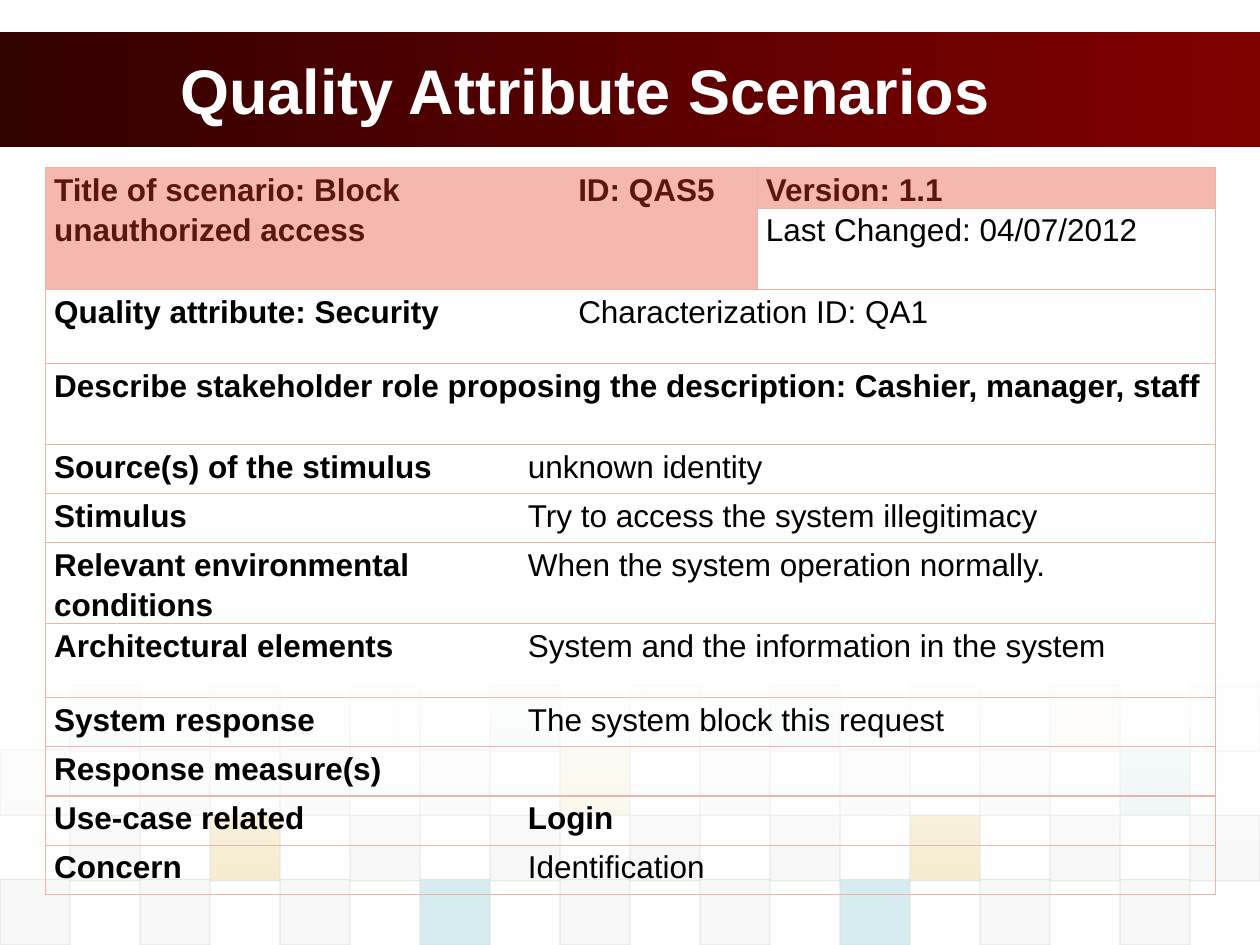
from dataclasses import dataclass

from lxml import etree
from pptx import Presentation
from pptx.dml.color import RGBColor
from pptx.enum.shapes import MSO_SHAPE
from pptx.enum.text import MSO_ANCHOR, PP_ALIGN
from pptx.oxml.ns import qn
from pptx.util import Inches, Pt

RECT = MSO_SHAPE.RECTANGLE
LEFT = PP_ALIGN.LEFT
TOP, MIDDLE = MSO_ANCHOR.TOP, MSO_ANCHOR.MIDDLE
TITLE_ONLY = 5


@dataclass(frozen=True)
class Theme:
    """Colours, font and type sizes of the slide."""
    font: str = "Arial"
    title_size: int = 36
    body_size: int = 18
    white: str = "FFFFFF"
    black: str = "000000"
    bar_dark: str = "330000"
    bar_red: str = "800000"
    header_fill: str = "F4B8B1"
    header_text: str = "5B170E"
    border: str = "EFB3AA"
    grey: str = "DDDDDD"
    pale: str = "EAEAEA"
    gold: str = "D3A911"
    teal: str = "38A3B2"


THEME = Theme()
TILES = {"G": THEME.grey, "L": THEME.pale, "Y": THEME.gold, "T": THEME.teal}
TILE_ROWS = [
    (5.44, 1, 5, "TLLTGTLYL"),
    (5.95, 0, 10, "GGGGYGGGT"),
    (6.47, 1, 20, "GYGGGGYGG"),
    (6.98, 0, 20, "GGGTGGTGG"),
]
PITCH = 10 / 18

COLS = [3.76, 0.4, 1.49, 3.64]
ROWS = [0.32, 0.64, 0.59, 0.64, 0.39, 0.39, 0.64, 0.59, 0.39, 0.39, 0.39, 0.39]
MERGES = [(0, 0, 1, 1), (0, 2, 1, 2), (2, 0, 2, 1), (2, 2, 2, 3), (3, 0, 3, 3)]
HEADER = [(0, 0, "Title of scenario: Block unauthorized access"),
          (0, 2, "ID: QAS5"), (0, 3, "Version: 1.1")]
DETAILS = [
    (1, 3, "Last Changed: 04/07/2012", False),
    (2, 0, "Quality attribute: Security", True),
    (2, 2, "Characterization ID: QA1", False),
    (3, 0, "Describe stakeholder role proposing the description: "
           "Cashier, manager, staff", True),
]
FIRST_FIELD = 4
FIELDS = [
    ("Source(s) of the stimulus", "unknown identity", False),
    ("Stimulus", "Try to access the system illegitimacy", False),
    ("Relevant environmental conditions", "When the system operation normally.", False),
    ("Architectural elements", "System and the information in the system", False),
    ("System response", "The system block this request", False),
    ("Response measure(s)", "", False),
    ("Use-case related", "Login", True),
    ("Concern", "Identification", False),
]


def rgb(value):
    """Return the colour for a hex string."""
    return RGBColor.from_string(value)


def set_text(tf, text, size=THEME.body_size, color=THEME.black, bold=False, spacing=1.0):
    """Write one formatted paragraph into a text frame."""
    p = tf.paragraphs[0]
    p.alignment = LEFT
    p.line_spacing = spacing
    r = p.add_run()
    r.text = text
    r.font.name = THEME.font
    r.font.size = Pt(size)
    r.font.bold = bold
    r.font.color.rgb = rgb(color)


def set_alphas(sp, *alphas):
    """Set the opacity percentages of a shape's colours in document order."""
    for clr, alpha in zip(sp.element.spPr.iter(qn("a:srgbClr")), alphas):
        etree.SubElement(clr, qn("a:alpha")).set("val", str(alpha * 1000))


def add_rect(s, x, y, w, h):
    """Add a rectangle without shadow."""
    sp = s.shapes.add_shape(RECT, Inches(x), Inches(y), Inches(w), Inches(h))
    sp.shadow.inherit = False
    return sp


def add_gradient(s, x, y, w, h, colors, angle):
    """Add an unlined rectangle with a two-colour gradient."""
    sp = add_rect(s, x, y, w, h)
    sp.line.fill.background()
    sp.fill.gradient()
    sp.fill.gradient_angle = angle
    for stop, color in zip(sp.fill.gradient_stops, colors):
        stop.color.rgb = rgb(color)
    return sp


def add_tile(s, x, y, color, alpha):
    """Add one translucent background tile."""
    sp = add_rect(s, x, y, PITCH, 0.52)
    sp.fill.solid()
    sp.fill.fore_color.rgb = rgb(color)
    sp.line.color.rgb = rgb(THEME.grey)
    sp.line.width = Pt(0.75)
    set_alphas(sp, alpha, 60)


def add_background(s):
    """Add the title bar and the fading checkerboard."""
    add_gradient(s, 0, 0.25, 10, 0.92, (THEME.bar_dark, THEME.bar_red), 0)
    for y, offset, alpha, codes in TILE_ROWS:
        for i, code in enumerate(codes):
            add_tile(s, (2 * i + offset) * PITCH, y, TILES[code], alpha)
    veil = add_gradient(s, 0, 5.37, 10, 1.62, (THEME.white, THEME.white), 270)
    set_alphas(veil, 90, 0)


def place_title(s, text):
    """Position and format the title above the background."""
    title = s.shapes.title
    title.left, title.top = Inches(1.33), Inches(0.25)
    title.width, title.height = Inches(8.08), Inches(0.92)
    title.text_frame.vertical_anchor = MIDDLE
    set_text(title.text_frame, text, size=THEME.title_size, color=THEME.white, bold=True)
    s.shapes.element.append(title.element)


def set_borders(cell, **edges):
    """Draw or hide each named edge of a cell."""
    tcPr = cell._tc.get_or_add_tcPr()
    for edge, shown in edges.items():
        ln = etree.SubElement(tcPr, qn(f"a:ln{edge}"), w=str(Pt(0.75)))
        if shown:
            fill = etree.SubElement(ln, qn("a:solidFill"))
            etree.SubElement(fill, qn("a:srgbClr"), val=THEME.border)
        else:
            etree.SubElement(ln, qn("a:noFill"))


def format_cell(cell, row, col):
    """Set margins, borders and fill according to the cell's place."""
    cell.margin_left = cell.margin_right = Inches(0.07)
    cell.margin_top = cell.margin_bottom = 0
    cell.vertical_anchor = TOP
    last_col = col + cell.span_width - 1 if cell.is_merge_origin else col
    last_row = row + cell.span_height - 1 if cell.is_merge_origin else row
    set_borders(cell,
                L=col == 0 or (col == 3 and row < 2),
                R=last_col == 3 or (last_col == 2 and row < 2),
                T=row != 1 or col == 3,
                B=last_row != 0 or col == 3)
    if row == 0 or (row == 1 and col < 3):
        cell.fill.solid()
        cell.fill.fore_color.rgb = rgb(THEME.header_fill)
    else:
        cell.fill.background()


def add_scenario_table(s):
    """Add the quality attribute scenario table."""
    table = s.shapes.add_table(len(ROWS), len(COLS), Inches(0.36), Inches(1.33),
                               Inches(sum(COLS)), Inches(sum(ROWS))).table
    table.first_row = table.horz_banding = False
    for column, width in zip(table.columns, COLS):
        column.width = Inches(width)
    for row, height in zip(table.rows, ROWS):
        row.height = Inches(height)
    fields = list(enumerate(FIELDS, FIRST_FIELD))
    for r1, c1, r2, c2 in MERGES + [(r, 1, r, 3) for r, _ in fields]:
        table.cell(r1, c1).merge(table.cell(r2, c2))
    for r in range(len(ROWS)):
        for c in range(len(COLS)):
            format_cell(table.cell(r, c), r, c)
    entries = [(r, c, text, True, THEME.header_text) for r, c, text in HEADER]
    entries += [(*detail, THEME.black) for detail in DETAILS]
    for r, (label, value, bold) in fields:
        entries += [(r, 0, label, True, THEME.black), (r, 1, value, bold, THEME.black)]
    for r, c, text, bold, color in entries:
        set_text(table.cell(r, c).text_frame, text, color=color, bold=bold, spacing=1.15)


def main():
    """Build and save the slide."""
    prs = Presentation()
    prs.slide_width, prs.slide_height = Inches(10), Inches(7.5)
    s = prs.slides.add_slide(prs.slide_layouts[TITLE_ONLY])
    add_background(s)
    place_title(s, "Quality Attribute Scenarios")
    add_scenario_table(s)
    prs.save("out.pptx")


if __name__ == "__main__":
    main()
